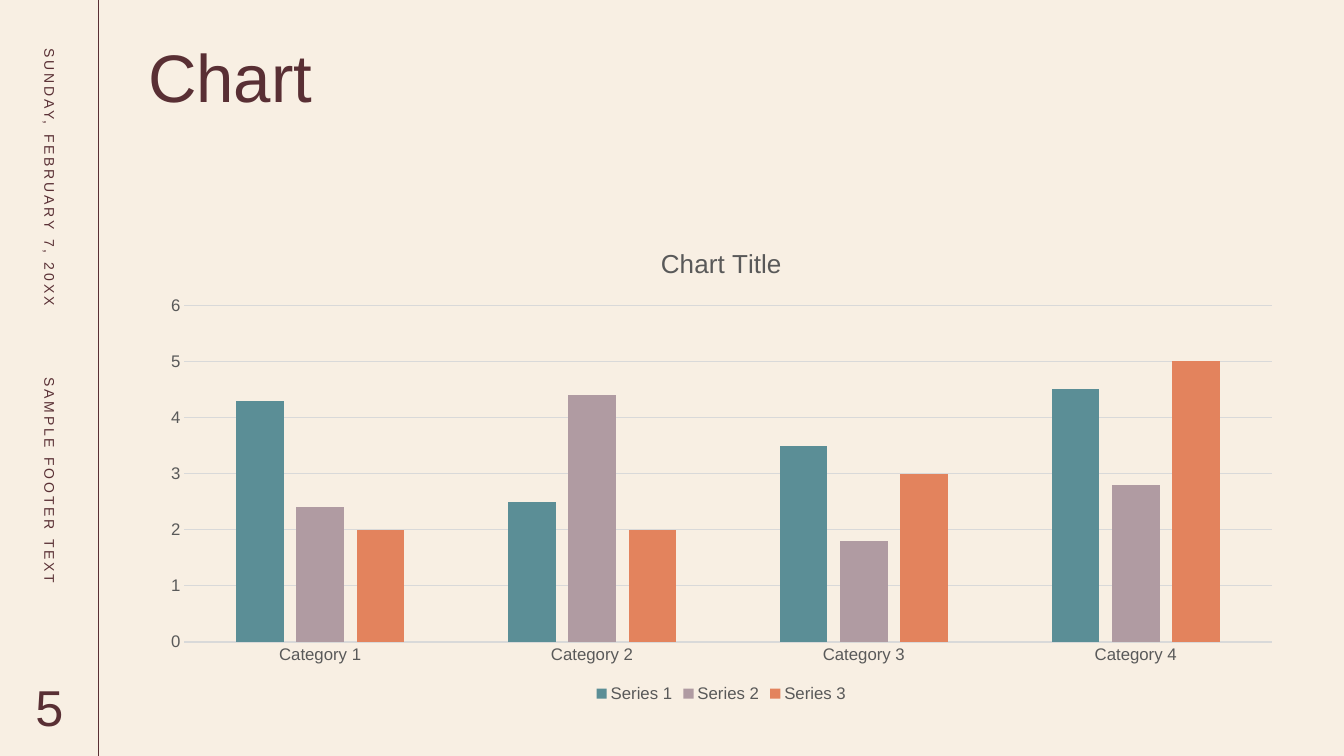
from dataclasses import dataclass
from typing import Any

from lxml import etree
from pptx import Presentation
from pptx.chart.chart import Chart
from pptx.chart.data import CategoryChartData
from pptx.dml.color import RGBColor
from pptx.enum.chart import XL_CHART_TYPE, XL_LEGEND_POSITION, XL_TICK_MARK
from pptx.enum.shapes import MSO_CONNECTOR
from pptx.enum.text import MSO_ANCHOR, MSO_AUTO_SIZE, PP_ALIGN
from pptx.oxml.ns import qn
from pptx.slide import Slide
from pptx.util import Emu, Pt

COLUMN = XL_CHART_TYPE.COLUMN_CLUSTERED
BOTTOM = XL_LEGEND_POSITION.BOTTOM
NO_TICK = XL_TICK_MARK.NONE
STRAIGHT = MSO_CONNECTOR.STRAIGHT
TOP, MIDDLE = MSO_ANCHOR.TOP, MSO_ANCHOR.MIDDLE
LEFT, CENTER = PP_ALIGN.LEFT, PP_ALIGN.CENTER
FIXED = MSO_AUTO_SIZE.NONE
SCALE = 9525


@dataclass(frozen=True)
class Theme:
    font: str = "Arial"
    paper: str = "F8EFE3"
    ink: str = "592F34"
    label: str = "595959"
    grid: str = "D9D9D9"
    title: float = 48
    number: float = 36
    head: float = 18.6
    axis: float = 12
    side: float = 10
    rule: float = 0.75


@dataclass(frozen=True)
class Box:
    left: int
    top: int
    width: int
    height: int

    def emu(self) -> tuple[Emu, ...]:
        return tuple(px(v) for v in (self.left, self.top, self.width, self.height))


@dataclass(frozen=True)
class Label:
    text: str
    box: Box
    size: float
    turn: int = 0
    pad: int = 0
    track: int = 0
    align: Any = LEFT


@dataclass(frozen=True)
class Series:
    name: str
    values: tuple[float, ...]
    color: str


THEME = Theme()
WIDTH, HEIGHT, RAIL = 1280, 720, 94
TITLE = Box(141, 34, 1092, 132)
PLOT = Box(141, 216, 1092, 457)
LABELS = (
    Label("SUNDAY, FEBRUARY 7, 20XX", Box(-98, 145, 291, RAIL), THEME.side, 90, 8, 200),
    Label("SAMPLE FOOTER TEXT", Box(-85, 445, 265, RAIL), THEME.side, 90, 8, 200),
    Label("5", Box(0, HEIGHT - RAIL, RAIL, RAIL), THEME.number, align=CENTER),
)
GROUPS = [f"Category {n}" for n in range(1, 5)]
SERIES = (
    Series("Series 1", (4.3, 2.5, 3.5, 4.5), "5B8E96"),
    Series("Series 2", (2.4, 4.4, 1.8, 2.8), "B09BA2"),
    Series("Series 3", (2, 2, 3, 5), "E3835D"),
)


def px(value: int) -> Emu:
    return Emu(value * SCALE)


def rgb(code: str) -> RGBColor:
    return RGBColor.from_string(code)


def apply(item: Any, values: dict[str, Any]) -> None:
    for name, value in values.items():
        setattr(item, name, value)


def style(font: Any, size: float, color: str) -> None:
    apply(font, {"name": THEME.font, "size": Pt(size), "bold": False})
    font.color.rgb = rgb(color)


def stroke(line: Any, color: str) -> None:
    line.width = Pt(THEME.rule)
    line.fill.solid()
    line.fill.fore_color.rgb = rgb(color)


def write(shape: Any, text: str, size: float, anchor: Any, align: Any, pad: int) -> Any:
    frame = shape.text_frame
    apply(frame, {
        "word_wrap": True, "auto_size": FIXED, "vertical_anchor": anchor,
        "margin_left": 0, "margin_right": 0,
        "margin_top": px(pad), "margin_bottom": px(pad),
    })
    line = frame.paragraphs[0]
    line.alignment = align
    run = line.add_run()
    run.text = text
    style(run.font, size, THEME.ink)
    return run


def add_title(slide: Slide) -> None:
    title = slide.shapes.title
    apply(title, dict(zip(("left", "top", "width", "height"), TITLE.emu())))
    write(title, "Chart", THEME.title, TOP, LEFT, 0)


def add_label(slide: Slide, label: Label) -> None:
    shape = slide.shapes.add_textbox(*label.box.emu())
    shape.rotation = label.turn
    run = write(shape, label.text, label.size, MIDDLE, label.align, label.pad)
    if label.track:
        run.font._element.set("spc", str(label.track))


def add_rule(slide: Slide) -> None:
    rule = slide.shapes.add_connector(STRAIGHT, px(RAIL), 0, px(RAIL), px(HEIGHT))
    stroke(rule.line, THEME.ink)
    etree.SubElement(rule._element.spPr, qn("a:effectLst"))


def style_axes(chart: Chart) -> None:
    for axis in (chart.category_axis, chart.value_axis):
        apply(axis, {"major_tick_mark": NO_TICK, "minor_tick_mark": NO_TICK})
        style(axis.tick_labels.font, THEME.axis, THEME.label)
    stroke(chart.category_axis.format.line, THEME.grid)
    scale = chart.value_axis
    apply(scale, {"minimum_scale": 0, "maximum_scale": 6, "major_unit": 1,
                  "has_major_gridlines": True})
    scale.format.line.fill.background()
    stroke(scale.major_gridlines.format.line, THEME.grid)


def add_plot(slide: Slide) -> None:
    data = CategoryChartData()
    data.categories = GROUPS
    for series in SERIES:
        data.add_series(series.name, series.values)
    chart = slide.shapes.add_chart(COLUMN, *PLOT.emu(), data).chart
    style(chart.font, THEME.side, "000000")
    apply(chart, {"has_title": True, "has_legend": True})
    head = chart.chart_title.text_frame.paragraphs[0].add_run()
    head.text = "Chart Title"
    style(head.font, THEME.head, THEME.label)
    apply(chart.legend, {"position": BOTTOM, "include_in_layout": False})
    style(chart.legend.font, THEME.axis, THEME.label)
    plot = chart.plots[0]
    apply(plot, {"gap_width": 219, "overlap": -27, "vary_by_categories": False})
    for bars, series in zip(plot.series, SERIES):
        bars.format.fill.solid()
        bars.format.fill.fore_color.rgb = rgb(series.color)
    style_axes(chart)


def main() -> None:
    deck = Presentation()
    apply(deck, {"slide_width": px(WIDTH), "slide_height": px(HEIGHT)})
    slide = deck.slides.add_slide(deck.slide_layouts[5])
    slide.background.fill.solid()
    slide.background.fill.fore_color.rgb = rgb(THEME.paper)
    add_rule(slide)
    add_title(slide)
    for label in LABELS:
        add_label(slide, label)
    add_plot(slide)
    deck.save("out.pptx")


if __name__ == "__main__":
    main()
